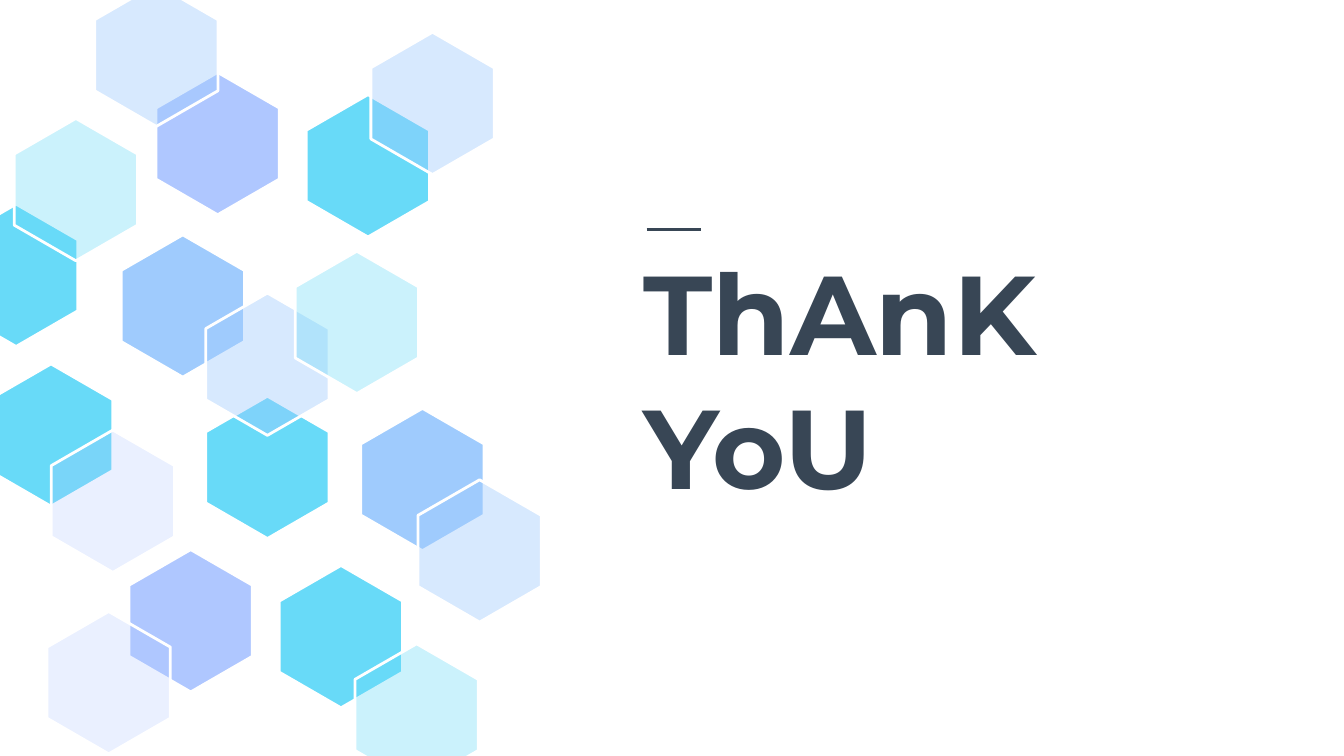
from dataclasses import dataclass

from lxml.etree import SubElement
from pptx import Presentation
from pptx.dml.color import RGBColor as RGB
from pptx.enum.shapes import MSO_CONNECTOR as Conn
from pptx.enum.text import MSO_ANCHOR as Anchor, MSO_AUTO_SIZE as Auto, PP_ALIGN as Align
from pptx.oxml.ns import qn
from pptx.util import Cm, Pt


@dataclass(frozen=True)
class Theme:
    """Colours, font and sizes of the slide."""
    ink: str = "384655"
    white: str = "FFFFFF"
    cyan: str = "68DAF8"
    sky: str = "9FCBFD"
    violet: str = "AFC7FF"
    font: str = "Montserrat"
    title: float = 60
    line: float = 1.5


class Deck:
    """Holds the theme and the current slide."""

    def __init__(self, prs, theme):
        """Add a title-only slide to the presentation."""
        self.theme = theme
        self.s = prs.slides.add_slide(prs.slide_layouts[5])
        fill = self.s.background.fill
        fill.solid()
        fill.fore_color.rgb = RGB.from_string(theme.white)

    def stroke(self, line, color):
        """Give a line its colour and the theme width."""
        line.color.rgb = RGB.from_string(color)
        line.width = Pt(self.theme.line)

    def title(self, text, left, top, width, height):
        """Fill and place the title placeholder."""
        sp = self.s.shapes.title
        box = dict(left=left, top=top, width=width, height=height)
        for name, value in box.items():
            setattr(sp, name, Cm(value))
        tf = sp.text_frame
        frame = dict(word_wrap=True, auto_size=Auto.NONE, vertical_anchor=Anchor.MIDDLE)
        frame |= {f"margin_{side}": Cm(0.25) for side in ("left", "top", "right", "bottom")}
        for name, value in frame.items():
            setattr(tf, name, value)
        p = tf.paragraphs[0]
        p.alignment = Align.LEFT
        r = p.add_run()
        r.text = text
        for name, value in dict(name=self.theme.font, size=Pt(self.theme.title), bold=True).items():
            setattr(r.font, name, value)
        r.font.color.rgb = RGB.from_string(self.theme.ink)

    def hexagon(self, left, top, color, alpha=100, width=2.33, height=2.69):
        """Draw an upright hexagon from its top left corner."""
        unit = ((0.5, 0), (0, 0.25), (0, 0.75), (0.5, 1), (1, 0.75), (1, 0.25))
        points = [(Cm(left + x * width), Cm(top + y * height)) for x, y in unit]
        builder = self.s.shapes.build_freeform(*points[0])
        builder.add_line_segments(points[1:], close=True)
        sp = builder.convert_to_shape()
        sp.shadow.inherit = False
        sp.fill.solid()
        sp.fill.fore_color.rgb = RGB.from_string(color)
        if alpha < 100:
            clr = sp._element.spPr.find(qn("a:solidFill")).find(qn("a:srgbClr"))
            SubElement(clr, qn("a:alpha"), val=str(alpha * 1000))
        self.stroke(sp.line, self.theme.white)

    def rule(self, left, top, width):
        """Draw a short horizontal line."""
        ends = (Cm(v) for v in (left, top, left + width, top))
        sp = self.s.shapes.add_connector(Conn.STRAIGHT, *ends)
        SubElement(sp._element.spPr, qn("a:effectLst"))
        self.stroke(sp.line, self.theme.ink)


def main():
    """Build the closing slide."""
    prs = Presentation()
    prs.slide_width, prs.slide_height = Cm(25.4), Cm(14.29)
    theme = Theme()
    deck = Deck(prs, theme)
    deck.title("ThAnK YoU", 11.91, 4.62, 11.51, 5.05)

    cyan, sky, violet = (theme.cyan,), (theme.sky,), (theme.violet,)
    pale_cyan, pale_sky, pale_violet = (theme.cyan, 34), (theme.sky, 41), (theme.violet, 25)
    hexagons = (
        (5.79, 1.79, cyan),
        (3.89, 7.49, cyan),
        (2.95, 1.37, violet),
        (1.79, -0.3, pale_sky),
        (2.29, 4.44, sky),
        (3.89, 5.54, pale_sky),
        (5.58, 4.75, pale_cyan),
        (-0.2, 6.88, cyan),
        (2.44, 10.39, violet),
        (0.89, 11.56, pale_violet),
        (6.82, 7.72, sky),
        (7.9, 9.07, pale_sky),
        (5.28, 10.69, cyan),
        (6.71, 12.17, pale_cyan),
        (0.97, 8.13, pale_violet),
        (7.01, 0.61, pale_sky),
        (-0.86, 3.86, cyan),
        (0.27, 2.24, pale_cyan),
    )
    for left, top, style in hexagons:
        deck.hexagon(left, top, *style)
    deck.rule(12.22, 4.34, 1.02)
    prs.save("out.pptx")


if __name__ == "__main__":
    main()
